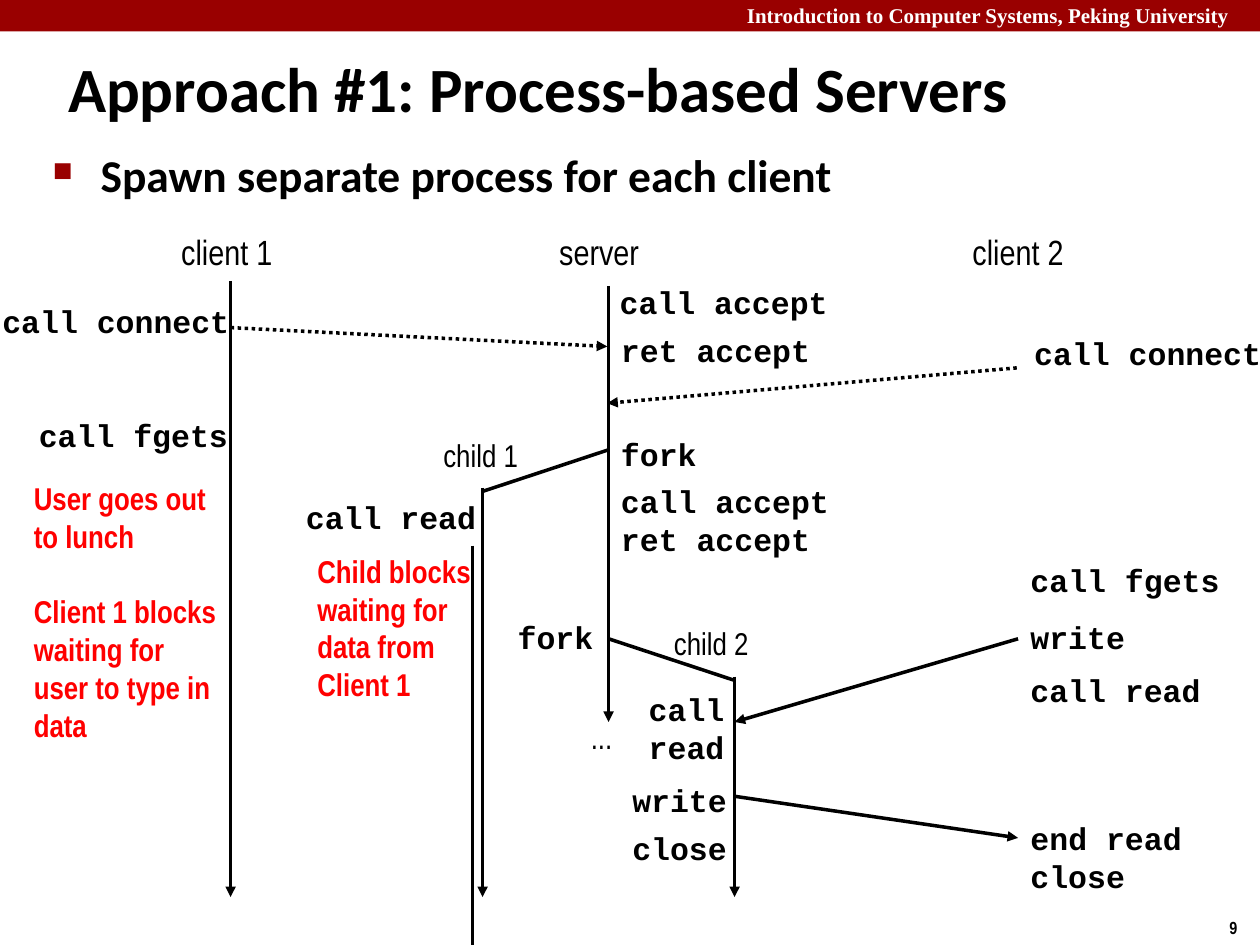
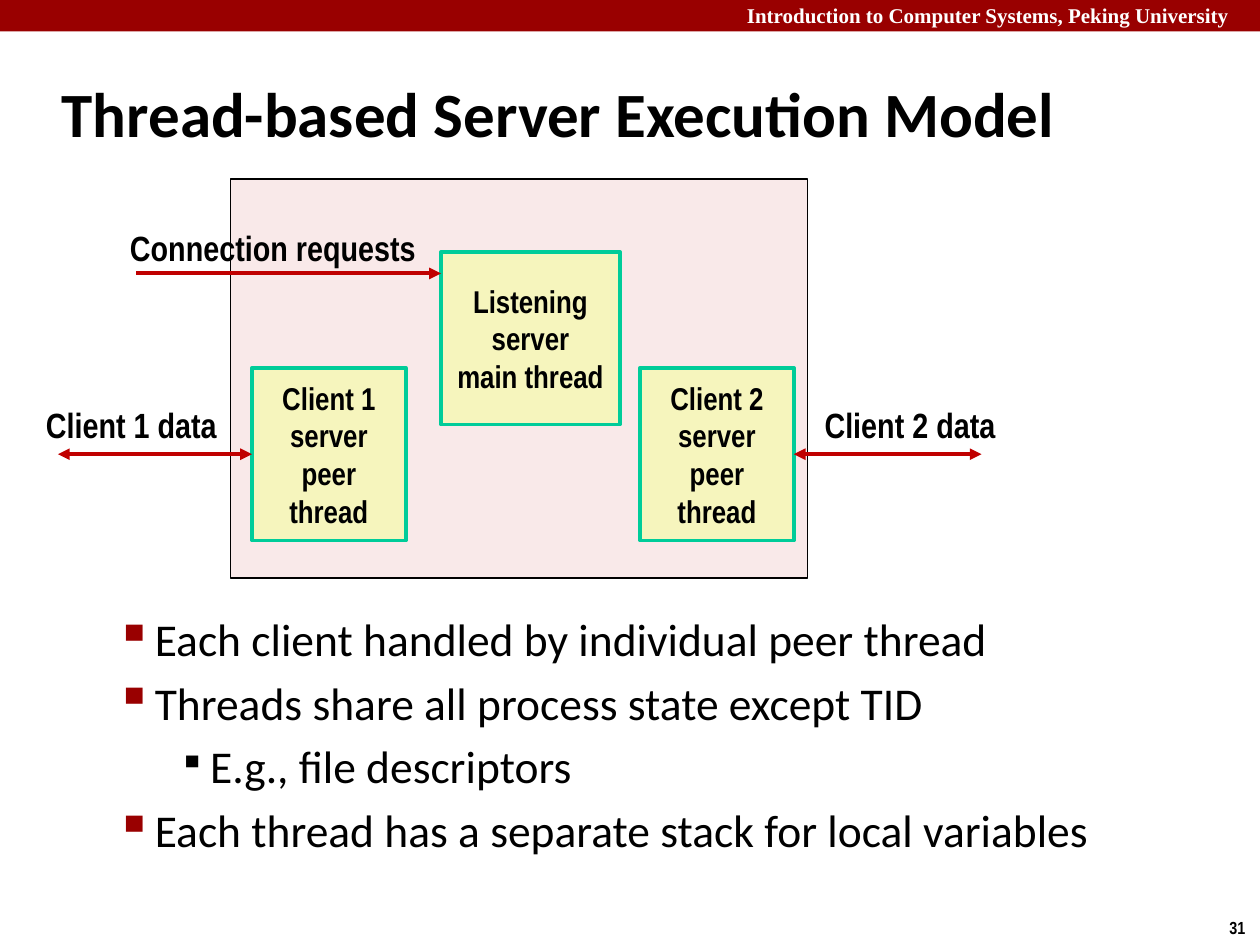
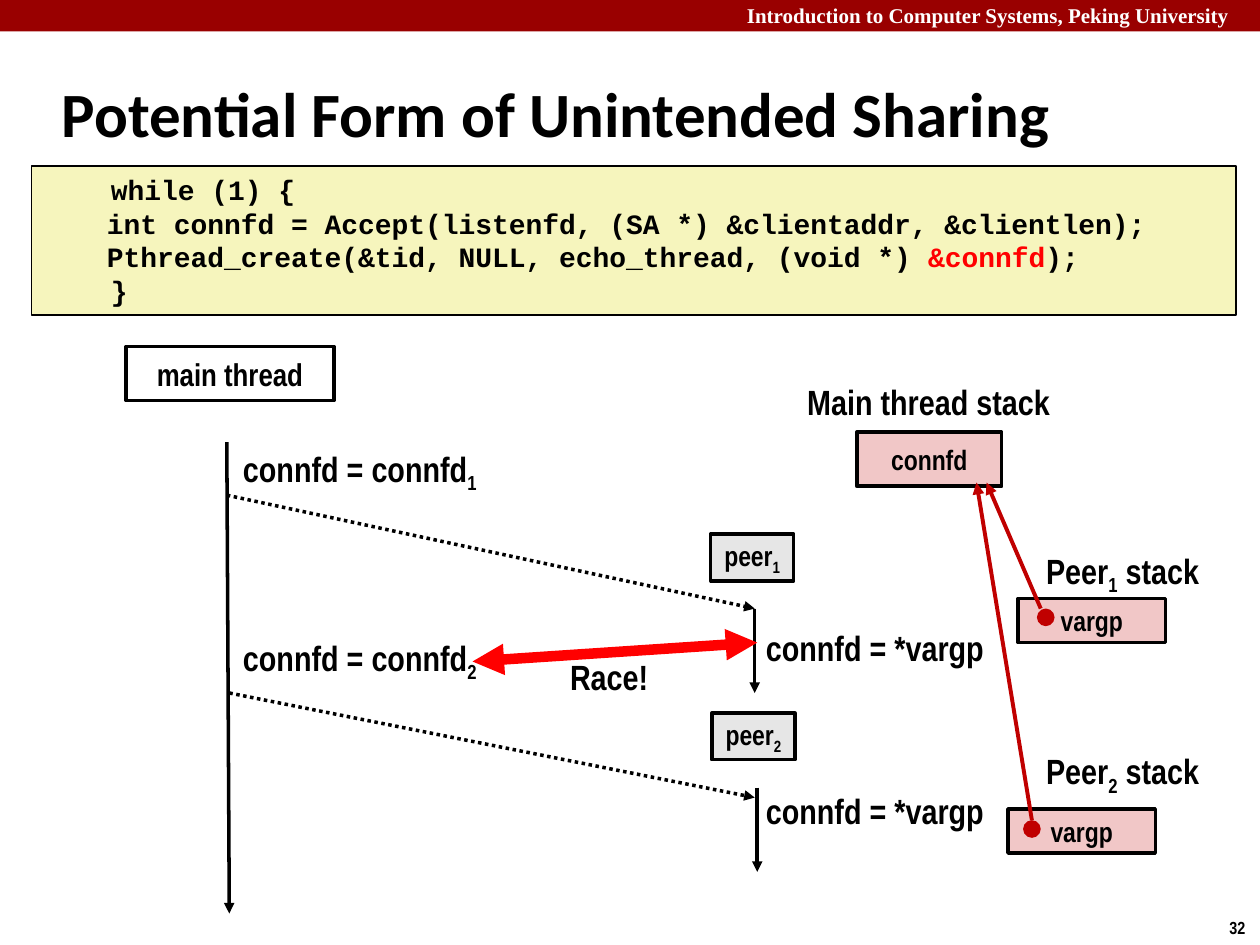
from dataclasses import dataclass
from typing import NamedTuple, Optional, Union

from lxml import etree
from pptx import Presentation
from pptx.dml.color import RGBColor
from pptx.enum.dml import MSO_LINE
from pptx.enum.shapes import MSO_CONNECTOR, MSO_SHAPE
from pptx.enum.text import MSO_ANCHOR, MSO_AUTO_SIZE, PP_ALIGN
from pptx.oxml.ns import qn
from pptx.util import Emu, Inches, Pt

RECTANGLE, ELLIPSE = MSO_SHAPE.RECTANGLE, MSO_SHAPE.OVAL
STRAIGHT = MSO_CONNECTOR.STRAIGHT
DOTTED = MSO_LINE.ROUND_DOT
LEFT, CENTER, RIGHT = PP_ALIGN.LEFT, PP_ALIGN.CENTER, PP_ALIGN.RIGHT
TOP, MIDDLE = MSO_ANCHOR.TOP, MSO_ANCHOR.MIDDLE
GROW, FIXED = MSO_AUTO_SIZE.SHAPE_TO_FIT_TEXT, MSO_AUTO_SIZE.NONE
LEFT_SIDE, RIGHT_SIDE = 1, 3

SLIDE_WIDTH, SLIDE_HEIGHT = Inches(10), Inches(7.5)
COLUMNS, ROWS = 100, 75
TITLE_ONLY_LAYOUT = 5


class TextStyle(NamedTuple):
    font: str
    size: float
    bold: bool = True
    color: str = "000000"


class Bullet(NamedTuple):
    symbol: str
    size_percent: int
    color: str
    indent: float
    hanging: float


@dataclass(frozen=True)
class Theme:
    black: str = "000000"
    band: str = "990000"
    red: str = "FF0000"
    crimson: str = "C00000"
    teal: str = "00CC99"
    cream: str = "F6F5BD"
    pink: str = "F1C7C7"
    gray: str = "E6E6E6"
    course: TextStyle = TextStyle("Times New Roman", 12, color="FFFFFF")
    page: TextStyle = TextStyle("Arial Narrow", 10)
    title: TextStyle = TextStyle("Calibri", 36)
    body: TextStyle = TextStyle("Calibri", 26, bold=False)
    body_bold: TextStyle = TextStyle("Calibri", 26)
    heading: TextStyle = TextStyle("Arial Narrow", 20, bold=False)
    heading_bold: TextStyle = TextStyle("Arial Narrow", 20)
    label: TextStyle = TextStyle("Arial Narrow", 18, bold=False)
    box: TextStyle = TextStyle("Arial Narrow", 18)
    small_box: TextStyle = TextStyle("Arial Narrow", 16)
    warning: TextStyle = TextStyle("Arial Narrow", 18, color="FF0000")
    call: TextStyle = TextStyle("Courier New", 18)
    code: TextStyle = TextStyle("Courier New", 16)
    main_bullet: Bullet = Bullet("■", 60, "990000", 3.8, 3.8)
    point_bullet: Bullet = Bullet("▪", 110, "990000", 8.1, 3.1)
    detail_bullet: Bullet = Bullet("▪", 80, "000000", 12.5, 2.5)


THEME = Theme()


class Run(NamedTuple):
    text: str
    color: Optional[str] = None
    subscript: bool = False


class Line(NamedTuple):
    runs: tuple[Run, ...]
    space_before: float = 0
    bullet: Optional[Bullet] = None


class Area(NamedTuple):
    left: float
    top: float
    width: float
    height: float


class Arrow(NamedTuple):
    start: tuple[float, float]
    end: tuple[float, float]
    color: str = THEME.black
    weight: float = 2
    dotted: bool = False
    head: bool = False
    tail: bool = True


Text = Union[str, list[Line]]


def across(columns: float) -> Emu:
    return Emu(round(SLIDE_WIDTH * columns / COLUMNS))


def down(rows: float) -> Emu:
    return Emu(round(SLIDE_HEIGHT * rows / ROWS))


def place(area: Area) -> tuple[Emu, Emu, Emu, Emu]:
    return across(area.left), down(area.top), across(area.width), down(area.height)


def plain(text: str, space_before: float = 0, bullet: Optional[Bullet] = None) -> Line:
    return Line((Run(text),), space_before, bullet)


def indexed(name: str, index: int, ending: str = "") -> list[Line]:
    runs = (Run(name), Run(str(index), subscript=True), Run(ending))
    return [Line(tuple(run for run in runs if run.text))]


def add_bullet(paragraph, bullet: Bullet) -> None:
    properties = paragraph._p.get_or_add_pPr()
    properties.set("marL", str(across(bullet.indent)))
    properties.set("indent", str(-across(bullet.hanging)))
    color = etree.SubElement(properties, qn("a:buClr"))
    etree.SubElement(color, qn("a:srgbClr"), val=bullet.color)
    etree.SubElement(properties, qn("a:buSzPct"), val=str(bullet.size_percent * 1000))
    etree.SubElement(properties, qn("a:buChar"), char=bullet.symbol)


def write_text(frame, text: Text, *, style: TextStyle, align=LEFT, anchor=TOP,
               wrap: bool = False, grow: bool = False) -> None:
    frame.word_wrap = wrap
    frame.auto_size = GROW if grow else FIXED
    frame.vertical_anchor = anchor
    lines = [plain(part) for part in text.split("\n")] if isinstance(text, str) else text
    for index, line in enumerate(lines):
        paragraph = frame.paragraphs[0] if index == 0 else frame.add_paragraph()
        if line.bullet:
            add_bullet(paragraph, line.bullet)
        paragraph.alignment = align
        paragraph.space_before = Pt(line.space_before)
        for part in line.runs:
            run = paragraph.add_run()
            run.text = part.text
            run.font.name = style.font
            run.font.size = Pt(style.size)
            run.font.bold = style.bold
            run.font.color.rgb = RGBColor.from_string(part.color or style.color)
            if part.subscript:
                run._r.get_or_add_rPr().set("baseline", "-25000")


def add_label(slide, area: Area, text: Text, style: TextStyle, *, align=LEFT,
              wrap: bool = False, grow: bool = True) -> None:
    shape = slide.shapes.add_textbox(*place(area))
    write_text(shape.text_frame, text, style=style, align=align, wrap=wrap, grow=grow)


def add_call(slide, left: float, top: float, text: str) -> None:
    lines = text.split("\n")
    width = 1.5 * max(map(len, lines)) + 2.1
    add_label(slide, Area(left, top, width, 3.1 * len(lines) + 0.9), text, THEME.call)


def add_box(slide, area: Area, *, kind=RECTANGLE, fill: Optional[str] = None,
            opacity: Optional[int] = None, line: Optional[str] = None, weight: float = 2):
    shape = slide.shapes.add_shape(kind, *place(area))
    shape.shadow.inherit = False
    if fill:
        shape.fill.solid()
        shape.fill.fore_color.rgb = RGBColor.from_string(fill)
    else:
        shape.fill.background()
    if opacity:
        color = shape._element.spPr.find(qn("a:solidFill")).find(qn("a:srgbClr"))
        etree.SubElement(color, qn("a:alpha"), val=str(opacity * 1000))
    if line:
        shape.line.color.rgb = RGBColor.from_string(line)
        shape.line.width = Pt(weight)
    else:
        shape.line.fill.background()
    return shape


def add_text_box(slide, area: Area, text: Text, style: TextStyle, *, fill: Optional[str] = None,
                 line: str = THEME.black, weight: float = 2):
    shape = add_box(slide, area, fill=fill, line=line, weight=weight)
    write_text(shape.text_frame, text, style=style, align=CENTER, anchor=MIDDLE)
    return shape


def add_arrow(slide, arrow: Arrow):
    (x1, y1), (x2, y2) = arrow.start, arrow.end
    connector = slide.shapes.add_connector(STRAIGHT, across(x1), down(y1), across(x2), down(y2))
    connector.line.color.rgb = RGBColor.from_string(arrow.color)
    connector.line.width = Pt(arrow.weight)
    if arrow.dotted:
        connector.line.dash_style = DOTTED
    properties = connector._element.spPr
    outline = properties.find(qn("a:ln"))
    for shown, tag in ((arrow.head, "a:headEnd"), (arrow.tail, "a:tailEnd")):
        if shown:
            etree.SubElement(outline, qn(tag), type="triangle")
    etree.SubElement(properties, qn("a:effectLst"))
    return connector


def add_slide(presentation, title: str, page: int,
              title_area: Area = Area(3.9, 4.8, 83, 8.3)):
    slide = presentation.slides.add_slide(presentation.slide_layouts[TITLE_ONLY_LAYOUT])
    add_box(slide, Area(0, 0, COLUMNS, 2.5), fill=THEME.band)
    add_label(slide, Area(58.3, -0.3, 42.4, 3),
              "Introduction to Computer Systems, Peking University", THEME.course, wrap=True)
    add_label(slide, Area(96.6, 72.3, 3.4, 2.7), str(page), THEME.page)
    heading = slide.shapes.title
    heading.left, heading.top, heading.width, heading.height = place(title_area)
    write_text(heading.text_frame, title, style=THEME.title, anchor=MIDDLE, wrap=True)
    return slide


def build_process_slide(presentation) -> None:
    slide = add_slide(presentation, "Approach #1: Process-based Servers", 9,
                      Area(4.4, 2.7, 95.4, 8.5))
    add_label(slide, Area(3.2, 11.2, 96.8, 6),
              [plain("Spawn separate process for each client", bullet=THEME.main_bullet)],
              THEME.body_bold, wrap=True, grow=False)

    client1, child1, server, child2, client2 = 18.3, 38.3, 48.3, 58.3, 80.8
    bottom = 71.2
    for left, width, name in ((13.4, 9.3, "client 1"), (43.4, 8.4, "server"),
                              (76.2, 9.3, "client 2")):
        add_label(slide, Area(left, 17.8, width, 4.4), name, THEME.heading)
    for left, top, width, name in ((34.2, 34.1, 9.2, "child 1"), (52.5, 49, 9.2, "child 2"),
                                   (45.9, 56.5, 4.1, "...")):
        add_label(slide, Area(left, top, width, 4), name, THEME.label)

    arrows = (
        Arrow((client1, 22.3), (client1, bottom)),
        Arrow((server, 22.7), (server, 57.3)),
        Arrow((child1, 38.7), (child1, bottom)),
        Arrow((child2, 53.7), (child2, bottom)),
        Arrow((37.5, 43.3), (37.5, ROWS), tail=False),
        Arrow((server, 35.7), (child1, 39), tail=False),
        Arrow((server, 50.7), (child2, 54), tail=False),
        Arrow((client1, 26), (48.2, 27.5), dotted=True),
        Arrow((80.7, 29.2), (48.2, 32), dotted=True),
        Arrow((client2, 50.7), (child2, 57.3)),
        Arrow((child2, 63.2), (client2, 66.5)),
    )
    for arrow in arrows:
        add_arrow(slide, arrow)

    calls = (
        (-0.8, 23.5, "call connect"), (2.1, 32.5, "call fgets"),
        (48.2, 22, "call accept"), (server, 25.8, "ret accept"), (server, 34, "fork"),
        (server, 37.8, "call accept"), (server, 40.8, "ret accept"),
        (23.3, 39, "call read"), (40.1, 48.6, "fork"), (50.5, 54.3, "call\nread"),
        (49.2, 61.5, "write"), (49.2, 65.3, "close"),
        (81.1, 26, "call connect"), (client2, 44, "call fgets"), (client2, 48.6, "write"),
        (client2, 52.8, "call read"), (client2, 64.5, "end read"), (client2, 67.5, "close"),
    )
    for left, top, text in calls:
        add_call(slide, left, top, text)

    add_label(slide, Area(1.7, 37.5, 16.7, 22.2),
              [plain("User goes out to lunch"), plain("Client 1 blocks", space_before=21.7),
               plain("waiting for user to type in data")], THEME.warning, wrap=True)
    add_label(slide, Area(24.2, 43.3, 16.7, 13.1),
              "Child blocks waiting for data from Client 1", THEME.warning, wrap=True)


def build_thread_slide(presentation) -> None:
    slide = add_slide(presentation, "Thread-based Server Execution Model", 31)
    add_box(slide, Area(18.3, 14.2, 45.8, 31.7), fill=THEME.pink, opacity=38,
            line=THEME.black, weight=1)
    points = (
        ("Each client handled by individual peer thread", THEME.point_bullet),
        ("Threads share all process state except TID", THEME.point_bullet),
        ("E.g., file descriptors", THEME.detail_bullet),
        ("Each thread has a separate stack for local variables", THEME.point_bullet),
    )
    gap = THEME.body.size / 5
    add_label(slide, Area(3.2, 48, 90.9, 22.2),
              [plain(text, gap if index else 0, bullet)
               for index, (text, bullet) in enumerate(points)],
              THEME.body, wrap=True, grow=False)

    threads = (
        (Area(20, 29.2, 12.2, 13.7), "Client 1\nserver\npeer\nthread"),
        (Area(50.8, 29.2, 12.2, 13.7), "Client 2\nserver\npeer\nthread"),
        (Area(35, 20, 14.2, 13.7), "Listening\nserver\nmain thread"),
    )
    peer1, peer2, _ = [
        add_text_box(slide, area, text, THEME.box, fill=THEME.cream, line=THEME.teal, weight=2.25)
        for area, text in threads
    ]

    add_arrow(slide, Arrow((10.8, 21.7), (35, 21.7), THEME.crimson, 2.25))
    middle = 36.05
    for outer, inner, peer, side in ((4.6, 20, peer1, LEFT_SIDE), (77.9, 63, peer2, RIGHT_SIDE)):
        connector = add_arrow(slide, Arrow((outer, middle), (inner, middle), THEME.crimson, 2.25,
                                           head=True))
        connector.end_connect(peer, side)
    for left, top, width, text in ((9.1, 17.5, 24.9, "Connection requests"),
                                   (2.5, 31.5, 15.7, "Client 1 data"),
                                   (64.3, 31.5, 15.7, "Client 2 data")):
        add_label(slide, Area(left, top, width, 4.4), text, THEME.heading_bold, align=RIGHT)


def build_sharing_slide(presentation) -> None:
    slide = add_slide(presentation, "Potential Form of Unintended Sharing", 32)
    code = add_box(slide, Area(2.5, 13.2, 95.6, 11.8), fill=THEME.cream, line=THEME.black, weight=1)
    write_text(code.text_frame, [
        plain("    while (1) {"),
        plain("\tint connfd = Accept(listenfd, (SA *) &clientaddr, &clientlen);"),
        Line((Run("\tPthread_create(&tid, NULL, echo_thread, (void *) "),
              Run("&connfd", THEME.red), Run(");"))),
        plain("    }"),
    ], style=THEME.code, wrap=True)

    add_text_box(slide, Area(10, 27.5, 16.5, 4.3), "main thread", THEME.box)
    add_text_box(slide, Area(68, 34.3, 11.5, 4.3), "connfd", THEME.small_box, fill=THEME.pink)
    for index, left, top in ((1, 56.4, 42.4), (2, 56.5, 56.6)):
        add_text_box(slide, Area(left, top, 6.6, 3.7), indexed("peer", index),
                     THEME.small_box, fill=THEME.gray)
    for left, top in ((80.8, 47.5), (80, 64.2)):
        add_text_box(slide, Area(left, top, 11.7, 3.5), "vargp", THEME.small_box, fill=THEME.pink)

    labels = (
        (Area(63, 29.7, 21.4, 4.4), "Main thread stack", CENTER),
        (Area(81.9, 43.1, 14.4, 4.4), indexed("Peer", 1, " stack"), CENTER),
        (Area(81.9, 59, 14.4, 4.4), indexed("Peer", 2, " stack"), CENTER),
        (Area(18.3, 35, 20.8, 4.4), indexed("connfd = connfd", 1), LEFT),
        (Area(18.3, 50, 20.8, 4.4), indexed("connfd = connfd", 2), LEFT),
        (Area(59.8, 49.2, 19.5, 4.4), "connfd = *vargp", LEFT),
        (Area(59.8, 62.2, 19.5, 4.4), "connfd = *vargp", LEFT),
        (Area(44.2, 51.5, 8.3, 4.4), "Race!", CENTER),
    )
    for area, text, align in labels:
        add_label(slide, area, text, THEME.heading_bold, align=align)

    arrows = (
        Arrow((18, 35.1), (18.2, 72.5)),
        Arrow((59.9, 48.3), (59.9, 55)),
        Arrow((60.1, 62.5), (60.1, 69.2)),
        Arrow((18, 39.3), (59.9, 48.3), dotted=True),
        Arrow((18.2, 55), (59.9, 63.3), dotted=True),
        Arrow((82.6, 48.3), (78.3, 38.3), THEME.crimson, 2.25),
        Arrow((81.9, 65.1), (77.5, 38.3), THEME.crimson, 2.25),
        Arrow((37.5, 52.5), (60.1, 51), THEME.red, 6, head=True),
    )
    for arrow in arrows:
        add_arrow(slide, arrow)
    for left, top in ((81.2, 65.1), (82.3, 48.3)):
        add_box(slide, Area(left, top, 1.4, 1.4), kind=ELLIPSE, fill=THEME.crimson)


def main() -> None:
    presentation = Presentation()
    presentation.slide_width, presentation.slide_height = SLIDE_WIDTH, SLIDE_HEIGHT
    build_process_slide(presentation)
    build_thread_slide(presentation)
    build_sharing_slide(presentation)
    presentation.save("out.pptx")


if __name__ == "__main__":
    main()
